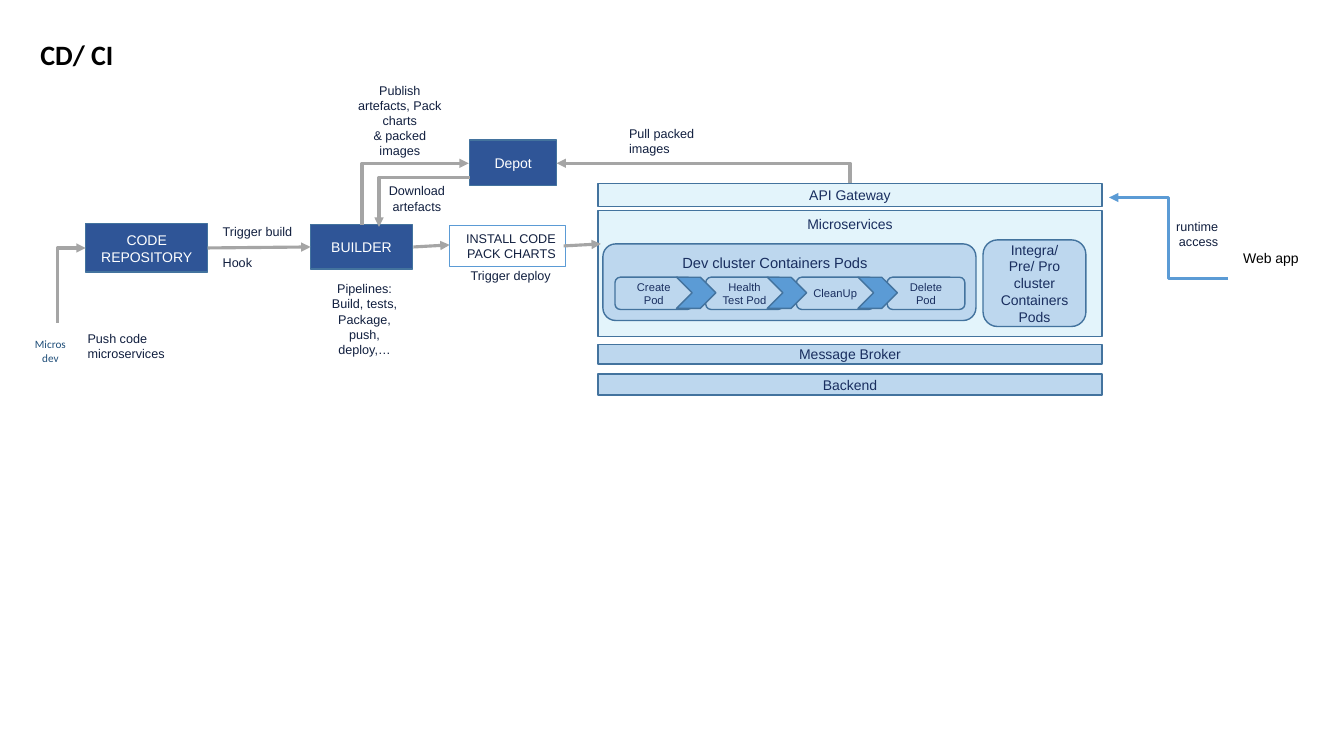
"""Build a slide that shows a continuous delivery pipeline."""
from dataclasses import dataclass
from typing import Optional

from lxml.etree import SubElement
from pptx import Presentation
from pptx.dml.color import RGBColor
from pptx.enum.shapes import MSO_CONNECTOR, MSO_SHAPE
from pptx.enum.text import MSO_ANCHOR, PP_ALIGN
from pptx.oxml.ns import qn
from pptx.util import Inches, Pt


@dataclass(frozen=True)
class Theme:
    """Colours, fonts and type sizes."""
    navy: str = "2F5597"
    edge: str = "43739E"
    sky: str = "BDD7EE"
    pale: str = "E3F4FB"
    blue: str = "5B9BD5"
    grey: str = "A5A5A5"
    white: str = "FFFFFF"
    black: str = "000000"
    ink: str = "192E5F"
    note: str = "111F3F"
    teal: str = "1F4E79"
    sans: str = "Arial"
    head: str = "Calibri"
    title: float = 20
    cluster: float = 10.5
    body: float = 10
    label: float = 9
    small: float = 8


T = Theme()


@dataclass(frozen=True)
class Box:
    """A preset shape with optional text."""
    left: float
    top: float
    width: float
    height: float
    text: str = ""
    fill: Optional[str] = T.sky
    color: str = T.ink
    size: float = T.body
    geom: MSO_SHAPE = MSO_SHAPE.RECTANGLE
    edge: str = T.edge
    weight: float = 1
    align: PP_ALIGN = PP_ALIGN.CENTER
    anchor: MSO_ANCHOR = MSO_ANCHOR.MIDDLE


@dataclass(frozen=True)
class Label:
    """A free text box."""
    left: float
    top: float
    width: float
    height: float
    text: str
    align: PP_ALIGN = PP_ALIGN.LEFT
    color: str = T.note
    size: float = T.label
    font: str = T.sans
    bold: bool = False
    flush: bool = False
    spacing: Optional[float] = None


@dataclass(frozen=True)
class Link:
    """An arrow: straight, across then turned, up then turned, or stepped."""
    x1: float
    y1: float
    x2: float
    y2: float
    route: str = "straight"
    color: str = T.grey


def write(tf, text: str, size: float, color: str, align: PP_ALIGN, font: str = T.sans,
          bold: bool = False, spacing: Optional[float] = None) -> None:
    """Fill a text frame, one paragraph per line of text."""
    tf.word_wrap = True
    tf.text = text
    for p in tf.paragraphs:
        p.alignment = align
        p.line_spacing = spacing
        p.font.name, p.font.size, p.font.bold = font, Pt(size), bold
        p.font.color.rgb = RGBColor.from_string(color)


def draw_box(s, b: Box) -> None:
    """Draw a preset shape."""
    sp = s.shapes.add_shape(b.geom, *map(Inches, (b.left, b.top, b.width, b.height)))
    sp.shadow.inherit = False
    if b.fill:
        sp.fill.solid()
        sp.fill.fore_color.rgb = RGBColor.from_string(b.fill)
    else:
        sp.fill.background()
    sp.line.color.rgb = RGBColor.from_string(b.edge)
    sp.line.width = Pt(b.weight)
    if b.text:
        sp.text_frame.vertical_anchor = b.anchor
        write(sp.text_frame, b.text, b.size, b.color, b.align)


def draw_label(s, t: Label) -> None:
    """Draw a text box."""
    tf = s.shapes.add_textbox(*map(Inches, (t.left, t.top, t.width, t.height))).text_frame
    if t.flush:
        tf.margin_left = tf.margin_right = tf.margin_top = tf.margin_bottom = 0
    write(tf, t.text, t.size, t.color, t.align, t.font, t.bold, t.spacing)


def draw_link(s, k: Link) -> None:
    """Draw a connector that ends in an arrowhead."""
    x1, y1, x2, y2 = k.x1, k.y1, k.x2, k.y2
    if k.route == "up":
        cx, cy = (x1 + x2) / 2, (y1 + y2) / 2
        dx, dy = (x2 - x1) / 2, (y1 - y2) / 2
        x1, y1, x2, y2 = cx - dy, cy - dx, cx + dy, cy + dx
    kind = MSO_CONNECTOR.STRAIGHT if k.route == "straight" else MSO_CONNECTOR.ELBOW
    cxn = s.shapes.add_connector(kind, *map(Inches, (x1, y1, x2, y2)))
    cxn.line.color.rgb = RGBColor.from_string(k.color)
    cxn.line.width = Pt(2.25)
    spPr = cxn._element.spPr
    if k.route in ("up", "across"):
        spPr.find(qn("a:prstGeom")).set("prst", "bentConnector2")
    if k.route == "up":
        spPr.find(qn("a:xfrm")).set("rot", str(270 * 60000))
    SubElement(spPr.find(qn("a:ln")), qn("a:tailEnd"), type="triangle")
    SubElement(spPr, qn("a:effectLst"))


ROUND, CENTER, RIGHT = MSO_SHAPE.ROUNDED_RECTANGLE, PP_ALIGN.CENTER, PP_ALIGN.RIGHT
STEPS = ("Create Pod", "Health Test Pod", "CleanUp", "Delete Pod")
STEP_PITCH = 0.9

BOXES = [
    Box(0.85, 2.22, 1.21, 0.48, "CODE REPOSITORY", T.navy, T.white),
    Box(3.08, 2.23, 1.01, 0.44, "BUILDER", T.navy, T.white),
    Box(4.66, 1.39, 0.86, 0.45, "Depot", T.navy, T.white),
    Box(4.46, 2.24, 1.15, 0.4, "INSTALL CODE\nPACK CHARTS", None, T.note, T.label,
        edge=T.blue, weight=0.75, align=RIGHT, anchor=MSO_ANCHOR.TOP),
    Box(5.93, 1.82, 5, 0.23, "API Gateway", T.pale),
    Box(5.93, 2.09, 5, 1.25, "Microservices", T.pale, anchor=MSO_ANCHOR.TOP),
    Box(5.93, 3.42, 5, 0.19, "Message Broker"),
    Box(5.93, 3.71, 5, 0.21, "Backend"),
    Box(5.98, 2.42, 3.7, 0.76, geom=ROUND),
    Box(9.75, 2.38, 1.02, 0.86, "Integra/ Pre/ Pro\ncluster\nContainers\nPods", geom=ROUND),
    *(Box(6.1 + i * STEP_PITCH, 2.75, 0.77, 0.32, step, size=T.small, geom=ROUND)
      for i, step in enumerate(STEPS)),
    *(Box(6.71 + i * STEP_PITCH, 2.75, 0.39, 0.31, fill=T.blue, geom=MSO_SHAPE.CHEVRON)
      for i in range(len(STEPS) - 1)),
]

LINKS = [
    Link(0.57, 3.2, 0.85, 2.46, "up"),
    Link(2.06, 2.46, 3.08, 2.45),
    Link(3.59, 2.23, 4.65, 1.62, "up"),
    Link(4.66, 1.76, 3.76, 2.25, "across"),
    Link(4.1, 2.45, 4.46, 2.43),
    Link(5.59, 2.44, 5.96, 2.42),
    Link(8.43, 1.82, 5.52, 1.62, "up"),
    Link(12.18, 2.76, 11, 1.96, "step", T.blue),
]

LABELS = [
    Label(0.4, 0.41, 7.86, 0.3, "CD/ CI", color=T.black, size=T.title, font=T.head,
          bold=True, flush=True, spacing=0.9),
    Label(0.16, 3.3, 0.68, 0.37, "Micros dev", CENTER, T.teal, T.small, T.head),
    Label(0.77, 3.23, 1, 0.4, "Push code microservices"),
    Label(2.11, 2.17, 1.09, 0.25, "Trigger build"),
    Label(2.11, 2.48, 0.52, 0.25, "Hook"),
    Label(3.44, 0.77, 1.05, 0.86, "Publish artefacts, Pack charts\n& packed images", CENTER),
    Label(3.66, 1.77, 0.95, 0.4, "Download artefacts", CENTER),
    Label(3.14, 2.74, 0.95, 0.86, "Pipelines: Build, tests, Package, push, deploy,…", CENTER),
    Label(4.41, 2.61, 1.15, 0.25, "Trigger deploy", RIGHT),
    Label(6.14, 1.2, 0.98, 0.4, "Pull packed images"),
    Label(6.67, 2.47, 3.29, 0.28, "Dev cluster Containers Pods", color=T.ink, size=T.cluster),
    Label(11.24, 2.12, 0.94, 0.4, "runtime access", RIGHT),
    Label(12.2, 2.48, 0.81, 0.17, "Web app", CENTER, T.black, T.body, flush=True),
]


def main() -> None:
    """Draw the slide and save it."""
    prs = Presentation()
    prs.slide_width, prs.slide_height = Inches(13.33), Inches(7.5)
    s = prs.slides.add_slide(prs.slide_layouts[6])
    for items, draw in ((BOXES, draw_box), (LINKS, draw_link), (LABELS, draw_label)):
        for item in items:
            draw(s, item)
    prs.save("out.pptx")


main()
